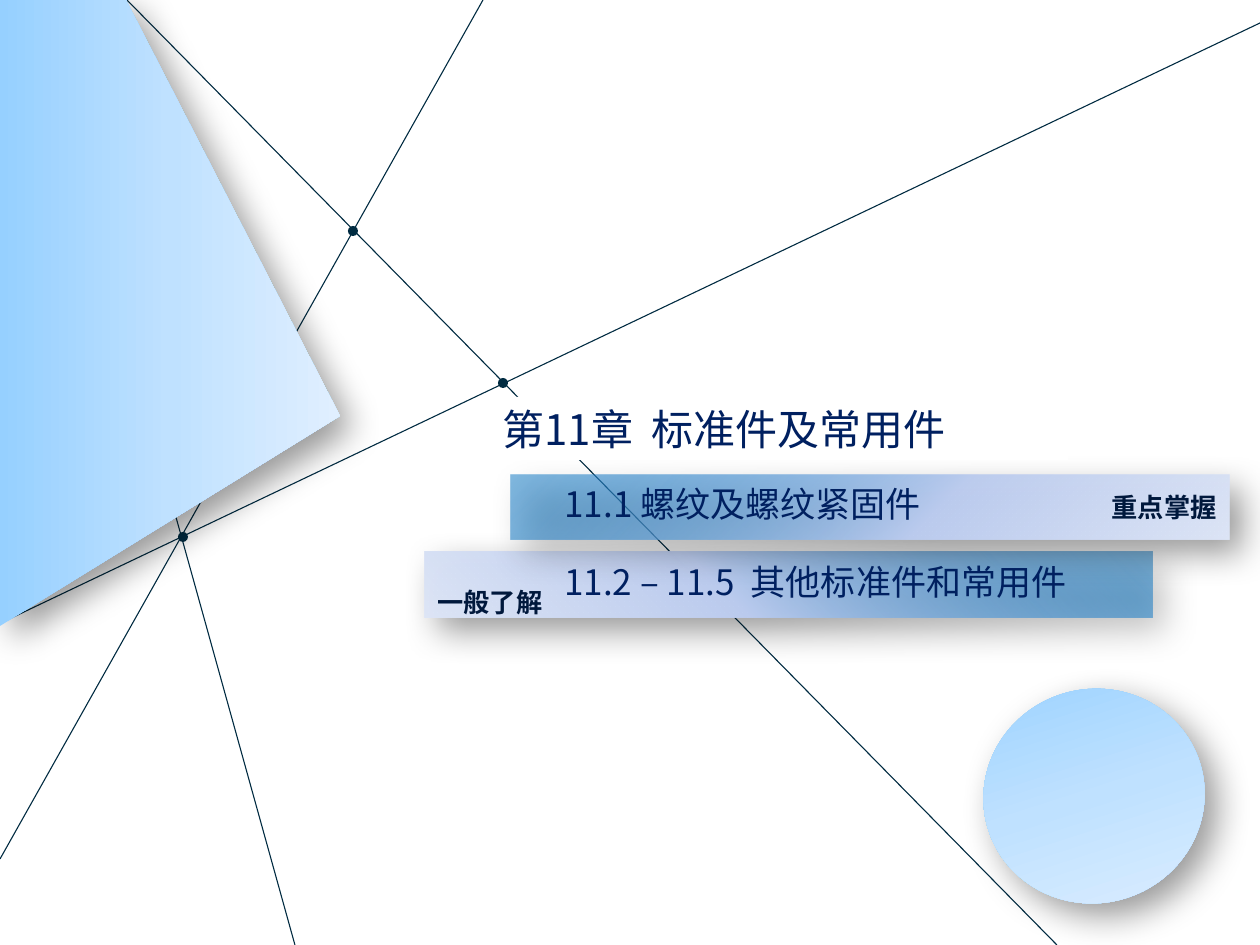
from lxml import etree
from pptx import Presentation, util as u
from pptx.dml.color import RGBColor
from pptx.enum import shapes, text
from pptx.oxml import parse_xml
from pptx.oxml.ns import nsdecls, qn

SCALE = 914400 / 126
FONT = "Noto Sans CJK SC"
INK = RGBColor(0x00, 0x2B, 0x41)
NAVY = RGBColor(0x00, 0x20, 0x60)
LABEL = RGBColor(0x00, 0x18, 0x3C)
WHITE = RGBColor(0xFF, 0xFF, 0xFF)
SKY = RGBColor(0x96, 0xD0, 0xFF)
PALE_SKY = RGBColor(0xBF, 0xE1, 0xFF)
ICE = RGBColor(0xE0, 0xEF, 0xFF)
BLUE = RGBColor(0x00, 0x70, 0xC0)
LAVENDER = RGBColor(0xBC, 0xCC, 0xEF)
MIST = RGBColor(0xDE, 0xE6, 0xF7)

# Stops are (position %, colour, opacity %).
SKY_STOPS = [(0, SKY, 100), (50, PALE_SKY, 100), (100, ICE, 100)]
BAND_STOPS = [(0, BLUE, 49), (59, LAVENDER, 100), (100, MIST, 100)]


def px(value):
    return u.Emu(round(value * SCALE))


def add_box(slide, kind, left, top, width, height):
    shape = slide.shapes.add_shape(kind, px(left), px(top), px(width), px(height))
    shape.shadow.inherit = False
    shape.line.fill.background()
    return shape


def set_solid(shape, colour):
    shape.fill.solid()
    shape.fill.fore_color.rgb = colour


def set_gradient(shape, stops, angle):
    """Fill with a linear gradient; angle is clockwise degrees."""
    stop_xml = "".join(
        f'<a:gs pos="{position * 1000}"><a:srgbClr val="{colour}">'
        f'<a:alpha val="{opacity * 1000}"/></a:srgbClr></a:gs>'
        for position, colour, opacity in stops)
    gradient = parse_xml(
        f'<a:gradFill {nsdecls("a")} rotWithShape="1"><a:gsLst>{stop_xml}</a:gsLst>'
        f'<a:lin ang="{angle * 60000}" scaled="0"/></a:gradFill>')
    shape.fill.solid()
    properties = shape._element.spPr
    properties.replace(properties.find(qn("a:solidFill")), gradient)


def add_shadow(shape):
    effects = shape._element.spPr.find(qn("a:effectLst"))
    effects.append(parse_xml(
        f'<a:outerShdw {nsdecls("a")} blurRad="{u.Pt(20)}" dist="{u.Pt(10)}" '
        f'dir="{45 * 60000}" algn="tl" rotWithShape="0"><a:srgbClr val="000000">'
        '<a:alpha val="40000"/></a:srgbClr></a:outerShdw>'))


def write(shape, wording, size, colour, bold=False,
          align=text.PP_ALIGN.LEFT, anchor=text.MSO_ANCHOR.TOP):
    frame = shape.text_frame
    frame.word_wrap = True
    frame.vertical_anchor = anchor
    paragraph = frame.paragraphs[0]
    paragraph.alignment = align
    run = paragraph.add_run()
    run.text = wording
    for name, value in {"size": u.Pt(size), "bold": bold, "name": FONT}.items():
        setattr(run.font, name, value)
    run.font.color.rgb = colour
    etree.SubElement(run.font._element, qn("a:ea"), typeface=FONT)


def draw_network(slide, left, top):
    """Crossing lines with a dot at each junction."""
    lines = [(1057, 945, 127, 0), (483, 0, 0, 859),
             (1260, 23, 3, 622), (295, 945, 60, 100)]
    for x1, y1, x2, y2 in lines:
        line = slide.shapes.add_connector(
            shapes.MSO_CONNECTOR.STRAIGHT,
            px(left + x1), px(top + y1), px(left + x2), px(top + y2))
        line.line.color.rgb = INK
        line.line.width = u.Pt(0.63)
        etree.SubElement(line._element.spPr, qn("a:effectLst"))
    radius = 5
    for x, y in [(353, 231), (183, 537), (503, 383)]:
        dot = add_box(slide, shapes.MSO_SHAPE.OVAL, left + x - radius,
                      top + y - radius, 2 * radius, 2 * radius)
        set_solid(dot, INK)


def draw_corner_panel(slide, left, top):
    builder = slide.shapes.build_freeform(126, 0, scale=SCALE)
    builder.add_line_segments([(0, 0), (0, 626), (340, 416)], close=True)
    panel = builder.convert_to_shape(px(left), px(top))
    panel.shadow.inherit = False
    panel.line.fill.background()
    set_gradient(panel, SKY_STOPS, 0)
    add_shadow(panel)


def draw_band(slide, left, top, width, height, label, angle, align, anchor):
    band = add_box(slide, shapes.MSO_SHAPE.RECTANGLE, left, top, width, height)
    set_gradient(band, BAND_STOPS, angle)
    add_shadow(band)
    if anchor == text.MSO_ANCHOR.BOTTOM:
        band.text_frame.margin_bottom = 0
    write(band, label, 15, LABEL, True, align, anchor)


def draw_contents(slide, left, top):
    """Chapter title above two labelled section bands."""
    draw_band(slide, left, top + 155, 727, 66, "一般了解", 135,
              text.PP_ALIGN.LEFT, text.MSO_ANCHOR.BOTTOM)
    draw_band(slide, left + 86, top + 78, 718, 65, "重点掌握", 45,
              text.PP_ALIGN.RIGHT, text.MSO_ANCHOR.MIDDLE)
    sections = [("11.1 螺纹及螺纹紧固件", 79, 677),
                ("11.2 – 11.5  其他标准件和常用件", 157, 592)]
    for wording, offset, width in sections:
        box = slide.shapes.add_textbox(
            px(left + 127), px(top + offset), px(width), px(63))
        write(box, wording, 20, NAVY)
    title = add_box(slide, shapes.MSO_SHAPE.RECTANGLE, left + 65, top, 578, 63)
    set_solid(title, WHITE)
    write(title, "第11章  标准件及常用件", 24, NAVY)


def draw_disc(slide, left, top, width, height):
    disc = add_box(slide, shapes.MSO_SHAPE.OVAL, left, top, width, height)
    disc.rotation = 252.2
    set_gradient(disc, SKY_STOPS, 180)
    add_shadow(disc)


def main():
    presentation = Presentation()
    presentation.slide_width = px(1260)
    presentation.slide_height = px(945)
    slide = presentation.slides.add_slide(presentation.slide_layouts[6])
    slide.background.fill.solid()
    slide.background.fill.fore_color.rgb = WHITE
    draw_network(slide, 0, 0)
    draw_corner_panel(slide, 0, 0)
    draw_contents(slide, 425, 397)
    draw_disc(slide, 987, 685, 214, 222)
    presentation.save("out.pptx")


if __name__ == "__main__":
    main()
